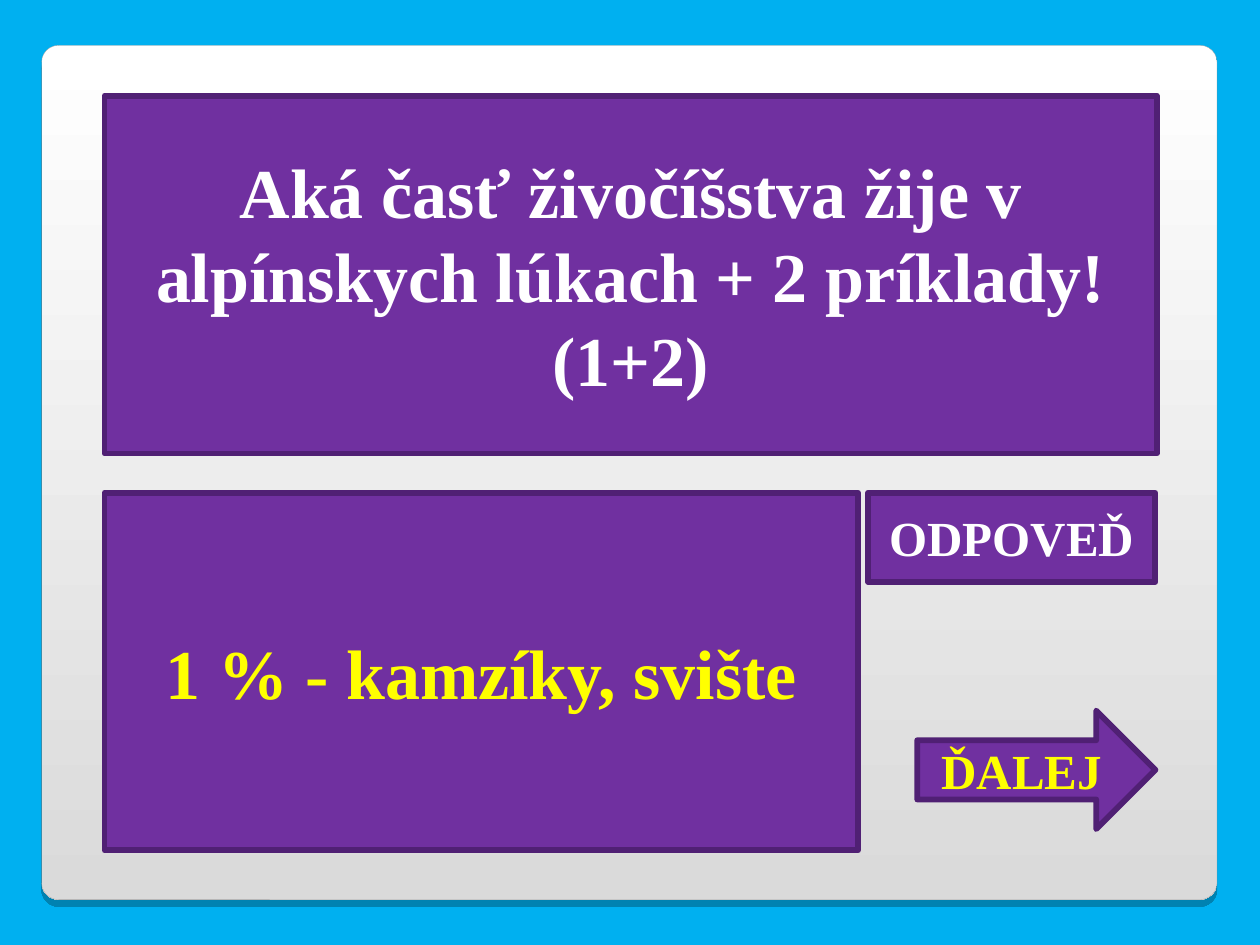
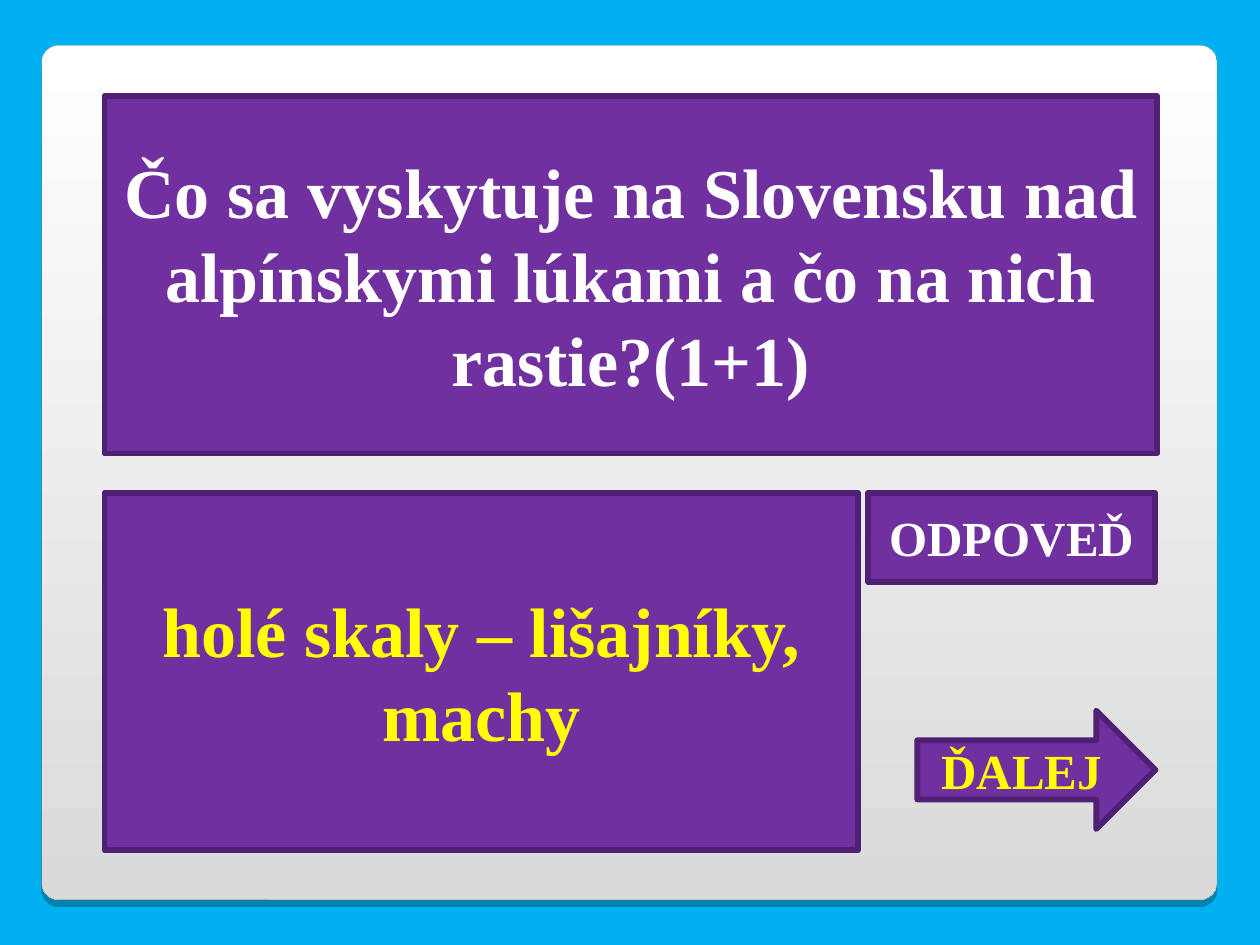
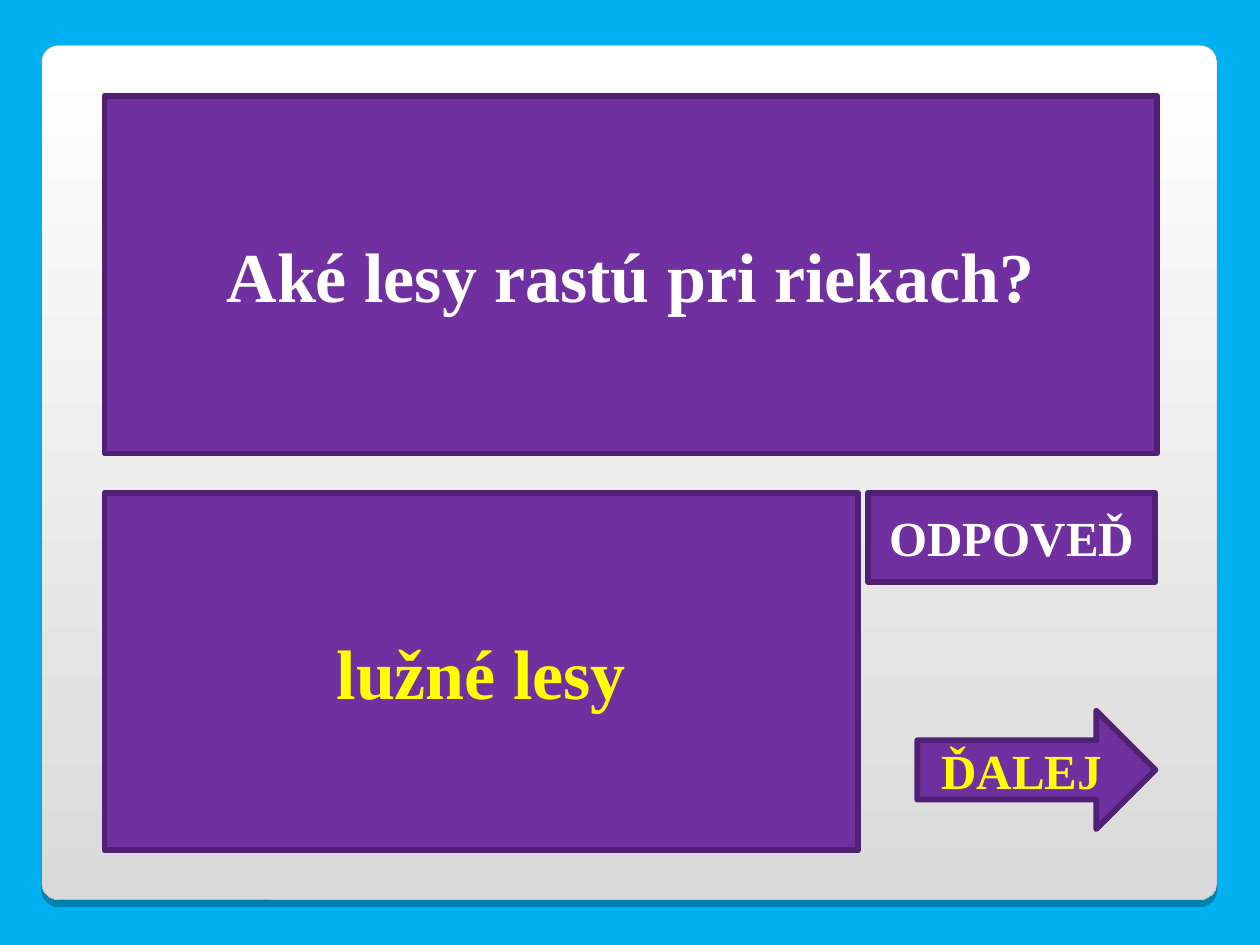
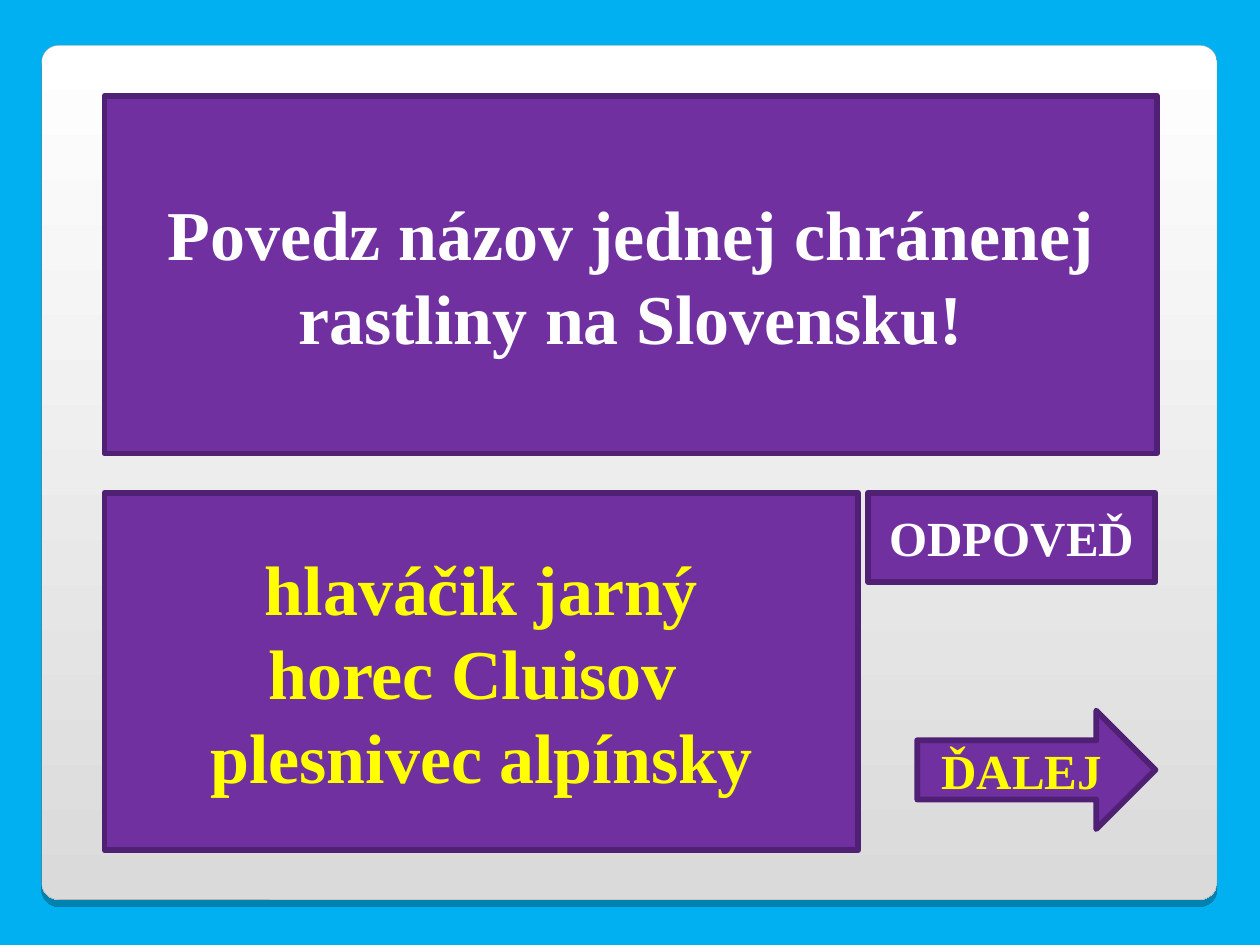
from lxml.etree import fromstring
from pptx import Presentation
from pptx.dml.color import RGBColor
from pptx.enum.shapes import MSO_SHAPE
from pptx.enum.text import MSO_ANCHOR, PP_ALIGN
from pptx.util import Inches, Pt

COLORS = {
    "sky": "00B0F0",
    "panel_top": "FFFFFF",
    "panel_bottom": "DADADA",
    "panel_edge": "A4A3A3",
    "purple": "7030A0",
    "purple_edge": "502074",
    "white": "FFFFFF",
    "yellow": "FFFF00",
}
FONT = "Times New Roman"
PANEL_SHADOW = """
<a:effectLst xmlns:a="http://schemas.openxmlformats.org/drawingml/2006/main">
  <a:outerShdw blurRad="0" dist="50800" dir="5400000" algn="t" rotWithShape="0">
    <a:srgbClr val="000000"><a:alpha val="25000"/></a:srgbClr>
  </a:outerShdw>
</a:effectLst>"""

LEFT, RIGHT = 0.83, 9.18
QUESTION_TOP, ANSWER_TOP = 0.76, 3.91
CARD_HEIGHT = 2.84

QUESTIONS = [
    ("Aká časť živočíšstva žije v alpínskych lúkach + 2 príklady!(1+2)",
     "1 % - kamzíky, svište"),
    ("Čo sa vyskytuje na Slovensku nad alpínskymi lúkami a čo na nich rastie?(1+1)",
     "holé skaly – lišajníky, machy"),
    ("Aké lesy rastú pri riekach?",
     "lužné lesy"),
    ("Povedz názov jednej chránenej rastliny na Slovensku!",
     "hlaváčik jarný\nhorec Cluisov \nplesnivec alpínsky"),
]


def color(name):
    return RGBColor.from_string(COLORS[name])


def add_card(slide, text, left, top, width, height, *,
             kind=MSO_SHAPE.RECTANGLE, size=40, ink="white"):
    """Add a purple shape with one centred paragraph per line of text."""
    card = slide.shapes.add_shape(
        kind, Inches(left), Inches(top), Inches(width), Inches(height))
    card.shadow.inherit = False
    card.fill.solid()
    card.fill.fore_color.rgb = color("purple")
    card.line.color.rgb = color("purple_edge")
    card.line.width = Pt(3.34)
    frame = card.text_frame
    frame.word_wrap = True
    frame.vertical_anchor = MSO_ANCHOR.MIDDLE
    frame.text = text
    for para in frame.paragraphs:
        para.alignment = PP_ALIGN.CENTER
        for span in para.runs:
            span.font.name = FONT
            span.font.size = Pt(size)
            span.font.bold = True
            span.font.color.rgb = color(ink)


deck = Presentation()
deck.slide_width, deck.slide_height = Inches(10), Inches(7.5)

# The blank layout carries the sky background and the rounded panel.
layout = deck.slide_layouts[6]
for placeholder in list(layout.placeholders):
    placeholder.element.getparent().remove(placeholder.element)
layout.background.fill.solid()
layout.background.fill.fore_color.rgb = color("sky")

slides = [deck.slides.add_slide(layout) for _ in QUESTIONS]

panel = slides[0].shapes.add_shape(
    MSO_SHAPE.ROUNDED_RECTANGLE, Inches(0.33), Inches(0.36), Inches(9.33), Inches(6.78))
panel.adjustments[0] = 0.02
panel.fill.gradient()
panel.fill.gradient_angle = 270
for stop, name in zip(panel.fill.gradient_stops, ("panel_top", "panel_bottom")):
    stop.color.rgb = color(name)
panel.line.color.rgb = color("panel_edge")
panel.line.width = Pt(0.17)
panel.element.spPr.append(fromstring(PANEL_SHADOW))
# A layout cannot draw shapes itself, so the panel moves there from a slide.
layout.element.cSld.spTree.append(panel.element)

for slide, (question, answer) in zip(slides, QUESTIONS):
    add_card(slide, question, LEFT, QUESTION_TOP, RIGHT - LEFT, CARD_HEIGHT)
    add_card(slide, answer, LEFT, ANSWER_TOP, 5.98, CARD_HEIGHT, ink="yellow")
    add_card(slide, "ODPOVEĎ", 6.89, ANSWER_TOP, 2.28, 0.71, size=28)
    add_card(slide, "ĎALEJ", 7.28, 5.64, 1.89, 0.94,
             kind=MSO_SHAPE.RIGHT_ARROW, size=28, ink="yellow")

deck.save("out.pptx")
